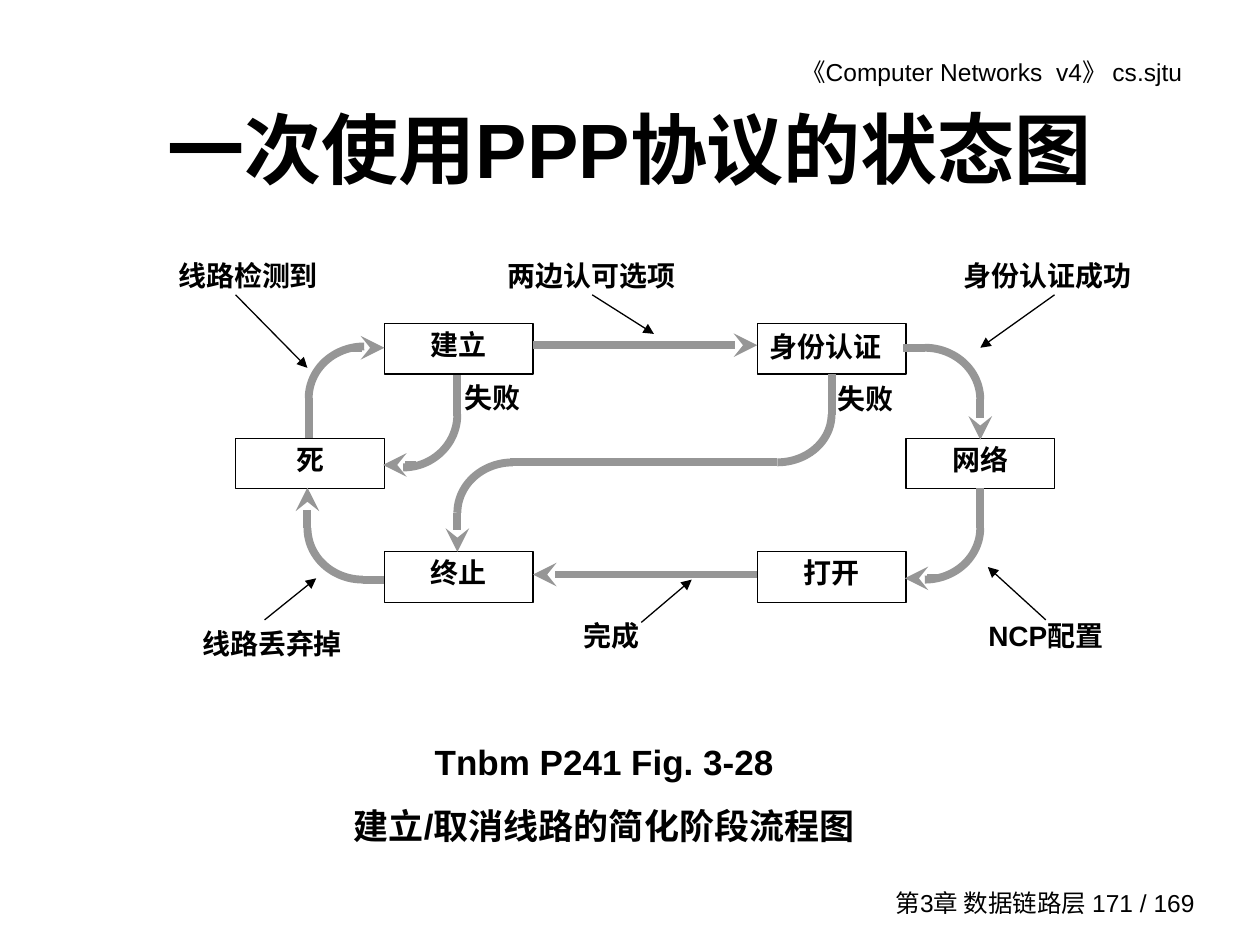
import collections
import dataclasses

import lxml.etree
import pptx
import pptx.dml.color
import pptx.enum.shapes
import pptx.enum.text
import pptx.oxml.ns
import pptx.util

PX = 9144  # EMU in one px, 100 px to the inch
ALIGN = pptx.enum.text.PP_ALIGN
SHAPE = pptx.enum.shapes.MSO_SHAPE
ANCHOR = pptx.enum.text.MSO_ANCHOR


@dataclasses.dataclass(frozen=True)
class Theme:
    font: str = "Arial"
    ink: str = "000000"
    flow: str = "969696"
    thin: float = 0.75
    thick: float = 4.5
    title: int = 44
    notes: int = 20
    label: int = 16
    small: int = 14


class Box(collections.namedtuple("Box", "x y w h")):
    def sub(self, x, y, w, h):
        return Box(self.x + x, self.y + y, w, h)

    def emu(self):
        return [v * PX for v in self]


THEME = Theme()
COLS = (62, 180, 476, 594)
ROWS = (57, 148, 238)
STATES = [  # text, column, row
    ("死", 0, 1), ("终止", 1, 2), ("打开", 2, 2),
    ("身份认证", 2, 0), ("建立", 1, 0), ("网络", 3, 1),
]
LABELS = [  # text, left, top, width, line spacing
    ("线路检测到", 0, 0, 144, 1), ("两边认可选项", 265, 0, 159, 1),
    ("身份认证成功", 627, 0, 159, 1), ("失败", 222, 97, 88, 1),
    ("失败", 523, 98, 78, 1), ("线路丢弃掉", 19, 294, 144, 0.96),
    ("完成", 309, 286, 102, 1), ("NCP配置", 633, 286, 144, 1),
]
FLOWS = [  # from, to, arrowhead
    (298, 74, 476, 74, "stealth"), (476, 256, 298, 256, "stealth"),
    (120, 116, 120, 148, None), (154, 76, 180, 76, "stealth"),
    (238, 130, 238, 98, None), (205, 169, 179, 169, "stealth"),
    (653, 219, 653, 187, None), (620, 259, 593, 259, "stealth"),
    (163, 260, 180, 260, None), (119, 219, 119, 187, "stealth"),
    (609, 76, 592, 76, None), (653, 117, 653, 149, "stealth"),
    (535, 129, 535, 97, None), (280, 167, 492, 167, None),
    (238, 207, 238, 238, "stealth"),
]
BENDS = [  # centre, radii, quarter turns clockwise from the right
    (164, 116, 44, 41, 2), (195, 129, 43, 42, 0), (609, 219, 44, 41, 0),
    (163, 219, 44, 41, 1), (609, 117, 44, 41, 3), (492, 129, 43, 38, 0),
    (282, 207, 44, 40, 2),
]
POINTERS = [
    (384, 294, 424, 260), (62, 34, 119, 92), (345, 34, 394, 65),
    (712, 34, 653, 76), (705, 292, 659, 250), (85, 292, 126, 259),
]


def tint(code):
    return pptx.dml.color.RGBColor.from_string(code)


def write(shape, lines, size, bold=True, align=ALIGN.CENTER,
          anchor=ANCHOR.TOP, before=0, after=0, pitch=1):
    """Fill the shape with one paragraph per line."""
    frame = shape.text_frame
    frame.word_wrap = True
    frame.vertical_anchor = anchor
    for num, text in enumerate(lines):
        para = frame.add_paragraph() if num else frame.paragraphs[0]
        para.alignment = align
        para.line_spacing = pitch
        para.space_before = pptx.util.Pt(before if num else 0)
        para.space_after = pptx.util.Pt(after)
        run = para.add_run()
        run.text = text
        run.font.name = THEME.font
        run.font.size = pptx.util.Pt(size)
        run.font.bold = bold
        run.font.color.rgb = tint(THEME.ink)


def note(slide, box, lines, size, **style):
    write(slide.shapes.add_textbox(*box.emu()), lines, size, **style)


def stroke(shape, color, width):
    shape.line.color.rgb = tint(color)
    shape.line.width = pptx.util.Pt(width)


def link(slide, box, ends, color, width, head):
    """Draw a straight line, with an arrowhead if one is named."""
    x1, y1, x2, y2 = ends
    wire = slide.shapes.add_connector(
        pptx.enum.shapes.MSO_CONNECTOR.STRAIGHT,
        (box.x + x1) * PX, (box.y + y1) * PX,
        (box.x + x2) * PX, (box.y + y2) * PX)
    stroke(wire, color, width)
    props = wire.element.spPr
    qn = pptx.oxml.ns.qn
    if head:
        lxml.etree.SubElement(wire.line._get_or_add_ln(), qn("a:tailEnd"), type=head)
    lxml.etree.SubElement(props, qn("a:effectLst"))


def bend(slide, box, x, y, rx, ry, turn):
    """Draw a quarter of an ellipse around the point x, y."""
    area = box.sub(x - rx, y - ry, 2 * rx, 2 * ry)
    arc = slide.shapes.add_shape(SHAPE.ARC, *area.emu())
    arc.shadow.inherit = False
    arc.fill.background()
    stroke(arc, THEME.flow, THEME.thick)
    arc.adjustments[0] = turn * 54.0
    arc.adjustments[1] = (turn + 1) % 4 * 54.0


def state(slide, box, text):
    rect = slide.shapes.add_shape(SHAPE.RECTANGLE, *box.emu())
    rect.shadow.inherit = False
    rect.fill.background()
    stroke(rect, THEME.ink, THEME.thin)
    if text == "身份认证":
        write(rect, [text], THEME.label, align=ALIGN.JUSTIFY)
    else:
        write(rect, [text], THEME.label, after=3, pitch=0.96)


def diagram(slide, box):
    for text, col, row in STATES:
        state(slide, box.sub(COLS[col], ROWS[row], 118, 40), text)
    for *ends, head in FLOWS:
        link(slide, box, ends, THEME.flow, THEME.thick, head)
    for part in BENDS:
        bend(slide, box, *part)
    for ends in POINTERS:
        link(slide, box, ends, THEME.ink, THEME.thin, "triangle")
    for text, x, y, width, pitch in LABELS:
        note(slide, box.sub(x, y, width, 40), [text], THEME.label, pitch=pitch)


def frame(slide, box):
    """Place the running header and footer."""
    side = dict(bold=False, align=ALIGN.RIGHT)
    note(slide, box.sub(517, 40, 431, 34),
         ["《Computer Networks  v4》 cs.sjtu"], THEME.small, **side)
    note(slide, box.sub(694, 700, 264, 33),
         ["第3章 数据链路层 171 / 169"], THEME.small,
         anchor=ANCHOR.MIDDLE, **side)


def main():
    deck = pptx.Presentation()
    page = Box(0, 0, 1000, 750)
    deck.slide_width, deck.slide_height = page.w * PX, page.h * PX
    slide = deck.slides.add_slide(deck.slide_layouts[6])
    frame(slide, page)
    note(slide, page.sub(75, 67, 850, 100), ["一次使用PPP协议的状态图"],
         THEME.title, anchor=ANCHOR.MIDDLE)
    diagram(slide, page.sub(125, 200, 786, 334))
    note(slide, page.sub(167, 583, 625, 94),
         ["Tnbm P241 Fig. 3-28", "建立/取消线路的简化阶段流程图"],
         THEME.notes, before=12.5)
    deck.save("out.pptx")


if __name__ == "__main__":
    main()
